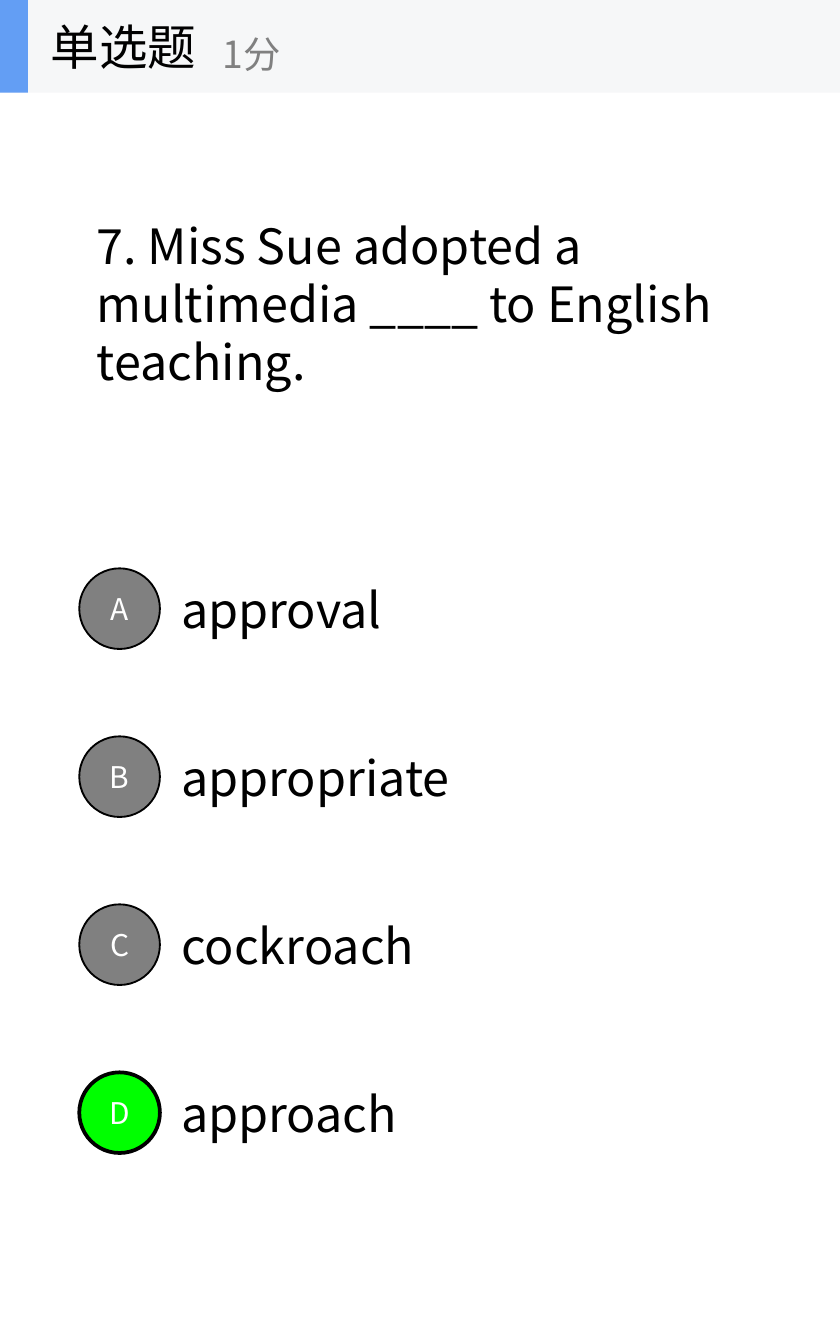
from dataclasses import dataclass

from lxml import etree
from pptx import Presentation
from pptx.dml.color import RGBColor
from pptx.enum import shapes as kinds, text as txt
from pptx.oxml import ns
from pptx.util import Pt


@dataclass(frozen=True)
class Theme:
    font: str = "Noto Sans CJK SC"
    ink: str = "000000"
    gray: str = "808080"
    white: str = "FFFFFF"
    right: str = "00FF00"
    band: str = "F6F7F8"
    blue: str = "639EF4"
    large: int = 26
    mid: int = 20
    small: int = 16


THEME = Theme()
OPTIONS = [
    ("A", "approval", 238),
    ("B", "appropriate", 238),
    ("C", "cockroach", 276),
    ("D", "approach", 163.5),
]
ANSWER = "D"
TOP, STEP, DISC = 304.5, 90, 43.2
HEAD = 49.7


def write(shape, words, size, color, align=txt.PP_ALIGN.LEFT):
    """Fill a shape with one styled run, centred vertically."""
    frame = shape.text_frame
    frame.word_wrap = True
    frame.vertical_anchor = txt.MSO_ANCHOR.MIDDLE
    para = frame.paragraphs[0]
    para.alignment = align
    run = para.add_run()
    run.text = words
    font = run.font
    font.size = Pt(size)
    font.color.rgb = RGBColor.from_string(color)
    font.name = THEME.font
    # East Asian letters take their font from a separate element
    east = etree.SubElement(run._r.get_or_add_rPr(), ns.qn("a:ea"))
    east.set("typeface", THEME.font)


def add_text(slide, box, words, size, color):
    shape = slide.shapes.add_textbox(*map(Pt, box))
    write(shape, words, size, color)
    return shape


def add_block(slide, kind, box, fill, line=0):
    shape = slide.shapes.add_shape(kind, *map(Pt, box))
    shape.shadow.inherit = False
    shape.fill.solid()
    shape.fill.fore_color.rgb = RGBColor.from_string(fill)
    if line:
        shape.line.color.rgb = RGBColor.from_string(THEME.ink)
        shape.line.width = Pt(line)
    else:
        shape.line.fill.background()
    return shape


def add_title(slide, box, words):
    title = slide.shapes.title
    title.left, title.top, title.width, title.height = map(Pt, box)
    write(title, words, THEME.large, THEME.ink)
    title.text_frame.auto_size = txt.MSO_AUTO_SIZE.NONE


def add_option(slide, top, letter, words, width):
    add_text(slide, (90, top + 2.2, width, 38.8), words, THEME.large, THEME.ink)
    hit = letter == ANSWER
    disc = add_block(slide, kinds.MSO_SHAPE.OVAL, (42.5, top, DISC, DISC),
                     THEME.right if hit else THEME.gray, 2 if hit else 1)
    write(disc, letter, THEME.small, THEME.white, txt.PP_ALIGN.CENTER)


def add_header(slide):
    rect = kinds.MSO_SHAPE.RECTANGLE
    add_block(slide, rect, (0, 0, 450, HEAD), THEME.band)
    add_block(slide, rect, (0, 0, 15, HEAD), THEME.blue)
    add_text(slide, (20.2, 0, 150, HEAD), "单选题", THEME.large, THEME.ink)
    add_text(slide, (112.3, 8.6, 180, 40.3), "1分", THEME.mid, THEME.gray)


def main():
    deck = Presentation()
    deck.slide_width, deck.slide_height = Pt(450), Pt(720)
    slide = deck.slides.add_slide(deck.slide_layouts[5])

    # Question
    add_title(slide, (44.6, 111.6, 359.3, 101.5),
              "7. Miss Sue adopted a multimedia ____ to English teaching.")

    # Answer options
    for row, option in enumerate(OPTIONS):
        add_option(slide, TOP + row * STEP, *option)

    # Header with question type and score
    add_header(slide)

    deck.save("out.pptx")


if __name__ == "__main__":
    main()
